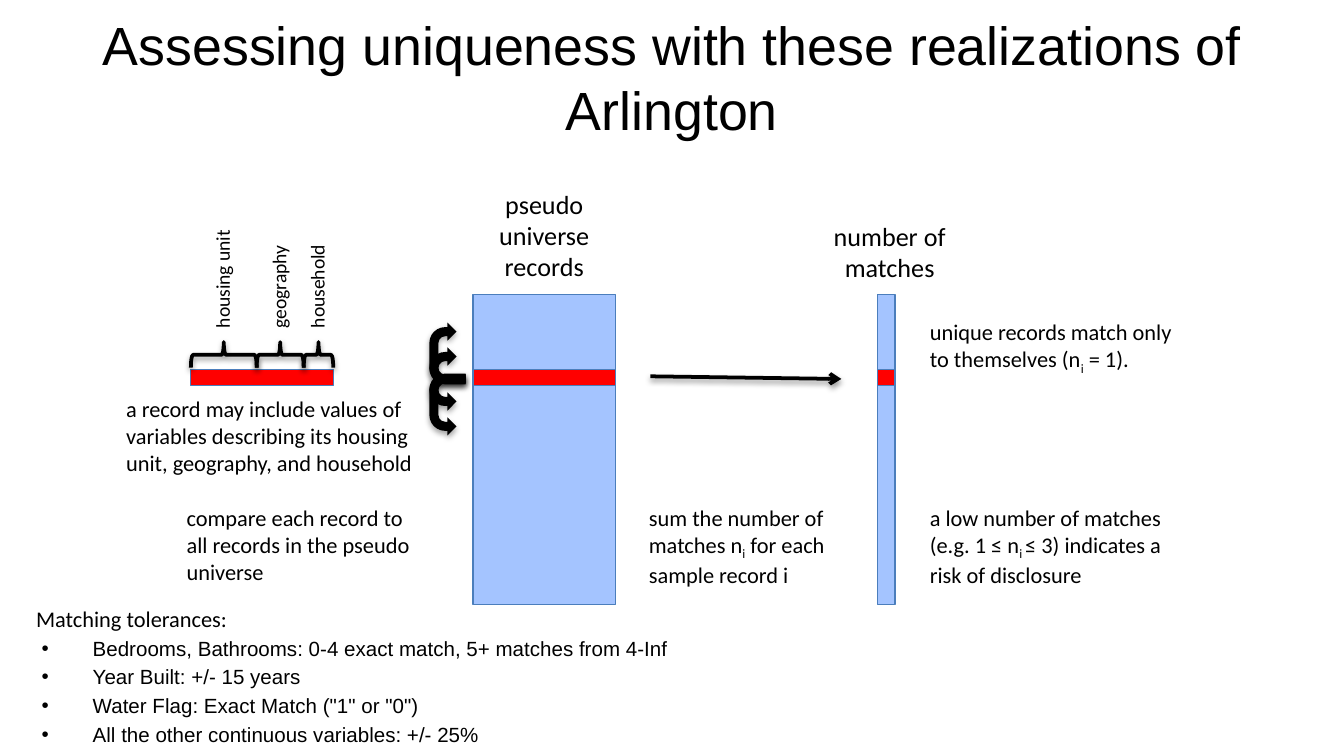
"""Build the slide on assessing uniqueness with realizations of Arlington."""
from lxml import etree
from pptx import Presentation
from pptx import util as u
from pptx.dml.color import RGBColor
from pptx.enum import shapes, text
from pptx.oxml import ns

COLORS = {"ink": "000000", "record": "FF0000", "universe": "A4C4FF", "edge": "4B7EBC"}
TITLE = "Assessing uniqueness with these realizations of Arlington"
TOLERANCES = [
    "Bedrooms, Bathrooms: 0-4 exact match, 5+ matches from 4-Inf",
    "Year Built: +/- 15 years",
    'Water Flag: Exact Match ("1" or "0")',
    "All the other continuous variables: +/- 25%",
]
HEADINGS = [
    (["pseudo universe records"], (3.52, 1.35, 1.06, 0.81)),
    (["number of matches"], (6.09, 1.59, 1.06, 0.57)),
]
NOTES = [
    (["a record may include values of variables describing its housing unit, "
      "geography, and household"], (0.84, 2.89, 2.54, 0.71)),
    (["compare each record to all records in the pseudo universe"], (1.29, 3.7, 2, 0.71)),
    (["sum the number of matches n", "i", " for each sample record i"], (4.73, 3.7, 2, 0.71)),
    (["a low number of matches (e.g. 1 ≤ n", "i ", "≤ 3) indicates a risk of disclosure"],
     (6.82, 3.7, 2, 0.71)),
    (["unique records match only to themselves (n", "i", " = 1)."], (6.82, 2.32, 2.11, 0.5)),
]
COLUMNS = [(3.52, 1.06), (6.53, 0.13)]
COLUMN_TOP, COLUMN_HEIGHT = 2.19, 2.31
RECORD_LEFT, RECORD_TOP, RECORD_WIDTH, RECORD_HEIGHT = 1.42, 2.75, 1.06, 0.12
VARIABLES = [("housing unit", 0.49, 0.98), ("geography", 0.35, 0.83), ("household", 0.22, 0.83)]
BRACE_DEPTH, BRACE_MIDDLE, LABEL_BOTTOM, LABEL_HEIGHT = 0.19, 2.64, 2.54, 0.28
LOOP_CENTER, LOOP_DEPTH = 3.33, 0.27
LOOPS = [(0.27, 2.72, 270), (0.46, 2.63, 270), (0.27, 2.92, 90), (0.46, 3.01, 90)]


def color(name):
    return RGBColor.from_string(COLORS[name])


def inches(box):
    return [u.Inches(value) for value in box]


def centered(x, y, width, height):
    return x - width / 2, y - height / 2, width, height


def add_xml(parent, tag, **attributes):
    element = etree.SubElement(parent, ns.qn(tag))
    for name, value in attributes.items():
        element.set(name, str(value))
    return element


def set_effects(shape, opacity=0):
    effects = add_xml(shape._element.spPr, "a:effectLst")
    if opacity:
        shadow = add_xml(effects, "a:outerShdw", blurRad=u.Pt(3.1), dist=u.Pt(1.6),
                         dir=5400000, rotWithShape=0)
        add_xml(add_xml(shadow, "a:srgbClr", val=COLORS["ink"]), "a:alpha", val=opacity * 1000)


def write(paragraph, runs, size=12, font="Calibri", align=text.PP_ALIGN.LEFT, before=0):
    paragraph.alignment = align
    paragraph.space_before = u.Pt(before)
    for index, words in enumerate(runs):
        run = paragraph.add_run()
        run.text = words
        run.font.size, run.font.name = u.Pt(size), font
        run.font.color.rgb = color("ink")
        is_subscript = index % 2 == 1
        if is_subscript:
            run.font._element.set("baseline", "-25000")


def add_text(slide, runs, box, wrap=True, rotation=0, **style):
    shape = slide.shapes.add_textbox(*inches(box))
    shape.rotation = rotation
    shape.text_frame.word_wrap = wrap
    write(shape.text_frame.paragraphs[0], runs, **style)


def add_shape(slide, kind, box, fill=None, line=None, width=0.75, rotation=0, shadow=0):
    shape = slide.shapes.add_shape(kind, *inches(box))
    shape.rotation = rotation
    for part, name in ((shape.fill, fill), (shape.line.fill, line)):
        if name:
            part.solid()
            part.fore_color.rgb = color(name)
        else:
            part.background()
    if line:
        shape.line.width = u.Pt(width)
    set_effects(shape, shadow)
    return shape


def place(shape, box, anchor):
    shape.left, shape.top, shape.width, shape.height = inches(box)
    frame = shape.text_frame
    frame.word_wrap, frame.auto_size = True, text.MSO_AUTO_SIZE.NONE
    frame.vertical_anchor = anchor
    return frame


def add_placeholders(slide):
    frame = place(slide.shapes.title, (0, 0.1, 10, 0.94), text.MSO_ANCHOR.MIDDLE)
    write(frame.paragraphs[0], [TITLE], size=28.8, font="Arial", align=text.PP_ALIGN.CENTER)
    frame = place(slide.placeholders[1], (0.21, 4.68, 4.89, 0.97), text.MSO_ANCHOR.TOP)
    for index, item in enumerate(TOLERANCES):
        paragraph = frame.add_paragraph() if index else frame.paragraphs[0]
        properties = paragraph._p.get_or_add_pPr()
        properties.set("marL", str(u.Inches(0.38)))
        properties.set("indent", str(-u.Inches(0.38)))
        add_xml(properties, "a:buFont", typeface="Arial")
        add_xml(properties, "a:buChar", char="•")
        write(paragraph, [item], size=11, font="Arial", before=2.2 if index else 0)


def add_records(slide):
    kind = shapes.MSO_SHAPE.RECTANGLE
    for left, width in COLUMNS:
        add_shape(slide, kind, (left, COLUMN_TOP, width, COLUMN_HEIGHT), "universe", "edge")
    for left, width in COLUMNS + [(RECORD_LEFT, RECORD_WIDTH)]:
        add_shape(slide, kind, (left, RECORD_TOP, width, RECORD_HEIGHT), "record", "edge")


def add_variables(slide):
    left = RECORD_LEFT
    for label, width, length in VARIABLES:
        center = left + width / 2
        add_shape(slide, shapes.MSO_SHAPE.RIGHT_BRACE,
                  centered(center, BRACE_MIDDLE, BRACE_DEPTH, width),
                  line="ink", width=2, rotation=270, shadow=38)
        add_text(slide, [label],
                 centered(center - 0.01, LABEL_BOTTOM - length / 2, length, LABEL_HEIGHT),
                 wrap=False, rotation=270, size=10.5)
        left += width


def add_arrows(slide):
    for width, middle, rotation in LOOPS:
        loop = add_shape(slide, shapes.MSO_SHAPE.U_TURN_ARROW,
                         centered(LOOP_CENTER, middle, width, LOOP_DEPTH),
                         fill="ink", rotation=rotation, shadow=35)
        if rotation == 90:
            loop._element.spPr.find(ns.qn("a:xfrm")).set("flipV", "1")
    arrow = slide.shapes.add_connector(shapes.MSO_CONNECTOR.STRAIGHT,
                                       *inches((4.84, 2.8, 6.26, 2.82)))
    arrow.line.color.rgb, arrow.line.width = color("ink"), u.Pt(2)
    add_xml(arrow.line._get_or_add_ln(), "a:tailEnd", type="arrow")
    set_effects(arrow, 38)


def main():
    presentation = Presentation()
    presentation.slide_width = u.Inches(10)
    presentation.slide_height = presentation.slide_width * 9 // 16
    slide = presentation.slides.add_slide(presentation.slide_layouts[1])
    add_placeholders(slide)
    add_records(slide)
    for runs, box in HEADINGS:
        add_text(slide, runs, box, size=14, align=text.PP_ALIGN.CENTER)
    for runs, box in NOTES:
        add_text(slide, runs, box)
    add_arrows(slide)
    add_variables(slide)
    add_text(slide, ["Matching tolerances:"], (0.17, 4.45, 1.64, 0.3), wrap=False)
    presentation.save("out.pptx")


if __name__ == "__main__":
    main()
